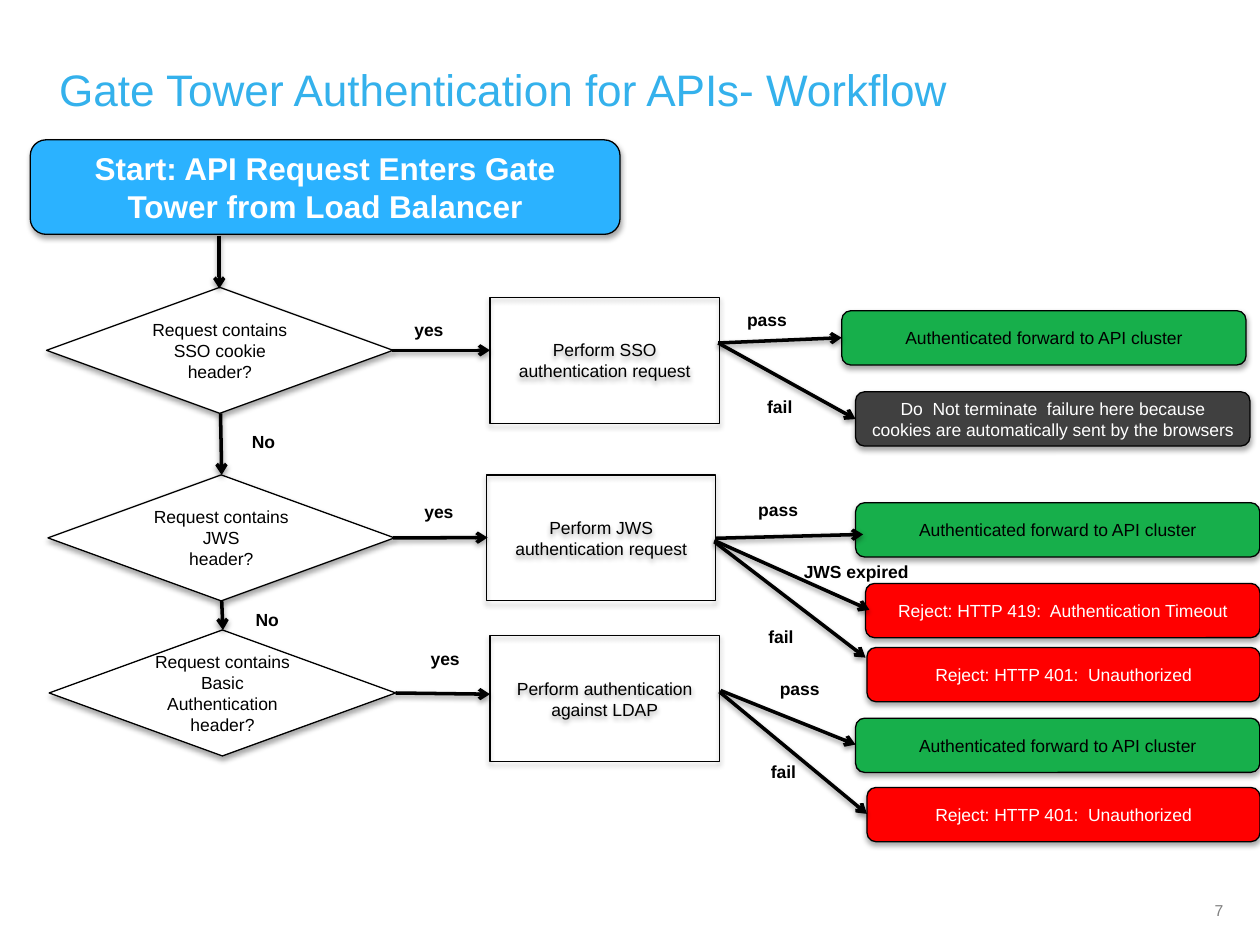
from dataclasses import dataclass

from lxml import etree
from pptx import Presentation
from pptx.dml.color import RGBColor
from pptx.enum.shapes import MSO_CONNECTOR, MSO_SHAPE
from pptx.enum.text import MSO_ANCHOR, PP_ALIGN
from pptx.oxml.ns import qn
from pptx.util import Pt

ROUNDED = MSO_SHAPE.ROUNDED_RECTANGLE
DIAMOND = MSO_SHAPE.DIAMOND
RECTANGLE = MSO_SHAPE.RECTANGLE
STRAIGHT = MSO_CONNECTOR.STRAIGHT
LEFT, CENTER = PP_ALIGN.LEFT, PP_ALIGN.CENTER
TOP, MIDDLE = MSO_ANCHOR.TOP, MSO_ANCHOR.MIDDLE

BLACK, WHITE, GRAY = "000000", "FFFFFF", "808080"
SKY, BLUE = "34B1EC", "2BB2FF"
GREEN, RED, CHARCOAL = "17AF4B", "FF0000", "404040"


@dataclass
class Node:
    kind: int
    left: float
    top: float
    width: float
    height: float
    text: str
    fill: str | None = None
    color: str = BLACK
    size: float = 10
    bold: bool = False


@dataclass
class Arrow:
    start: tuple[float, float]
    end: tuple[float, float]


@dataclass
class Label:
    left: float
    top: float
    width: float
    text: str


def decision(left: float, top: float, text: str) -> Node:
    return Node(DIAMOND, left, top, 198, 72, text, WHITE)


def action(left: float, top: float, text: str) -> Node:
    return Node(RECTANGLE, left, top, 131, 72, text)


def outcome(left: float, top: float, width: float, text: str, fill: str, color: str = WHITE) -> Node:
    return Node(ROUNDED, left, top, width, 31, text, fill, color)


def forward(left: float, top: float) -> Node:
    return outcome(left, top, 231, "Authenticated forward to API cluster", GREEN, BLACK)


def unauthorized(top: float) -> Node:
    return outcome(495.4, top, 224.6, "Reject: HTTP 401:  Unauthorized", RED)


NODES = [
    Node(ROUNDED, 17.3, 79.9, 337, 54, "Start: API Request Enters Gate Tower from Load Balancer",
         BLUE, WHITE, 18, True),
    decision(26.6, 164.2, "Request contains\nSSO cookie\nheader?"),
    decision(27.4, 271.4, "Request contains\nJWS\nheader?"),
    decision(28.1, 360, "Request contains\nBasic Authentication\nheader?"),
    action(280, 169.9, "Perform SSO authentication request"),
    action(278, 271.4, "Perform JWS authentication request"),
    action(280, 363.3, "Perform authentication against LDAP"),
    forward(481, 177.6),
    outcome(488.9, 223.9, 225.4,
            "Do  Not terminate  failure here because cookies are automatically sent by the browsers",
            CHARCOAL),
    forward(488.9, 287.3),
    outcome(494.6, 333.4, 225.4, "Reject: HTTP 419:  Authentication Timeout", RED),
    unauthorized(370),
    forward(488.9, 410.4),
    unauthorized(450),
]

ARROWS = [
    Arrow((125.3, 134.6), (125.3, 164.9)),
    Arrow((126, 236.2), (126.7, 271.4)),
    Arrow((126.7, 343.4), (127.4, 360)),
    Arrow((223.9, 200.2), (280, 200.2)),
    Arrow((224.6, 307.4), (278.6, 307.2)),
    Arrow((226.1, 396), (280, 396.7)),
    Arrow((410.4, 196), (481, 193)),
    Arrow((410.4, 196), (488.9, 239.5)),
    Arrow((409, 307.6), (493.2, 305.4)),
    Arrow((408.2, 308.9), (496.8, 348.5)),
    Arrow((408.2, 309.6), (494.6, 375.8)),
    Arrow((411.8, 394.6), (488.9, 425.5)),
    Arrow((411.1, 395.3), (495.4, 465.1)),
]

LABELS = [
    Label(229.7, 178.6, 32, "yes"),
    Label(235.4, 283, 32, "yes"),
    Label(239, 366.5, 32, "yes"),
    Label(136.8, 242.6, 32, "No"),
    Label(139, 344.2, 32, "No"),
    Label(419.8, 172.8, 42.5, "pass"),
    Label(426.2, 281.5, 42.5, "pass"),
    Label(438.5, 383.8, 42.5, "pass"),
    Label(431.3, 222.5, 42.5, "fail"),
    Label(432, 354.2, 42.5, "fail"),
    Label(433.4, 431.3, 42.5, "fail"),
    Label(452.2, 316.8, 77.8, "JWS expired"),
]


def rgb(value: str) -> RGBColor:
    return RGBColor.from_string(value)


def apply(target: object, values: dict) -> None:
    for name, value in values.items():
        setattr(target, name, value)


def write(box, text: str, size: float, color: str, bold: bool = False,
          align=LEFT, anchor=TOP, spacing: float = 1.0) -> None:
    frame = box.text_frame
    apply(frame, {"word_wrap": True, "vertical_anchor": anchor})
    for index, line in enumerate(text.split("\n")):
        para = frame.add_paragraph() if index else frame.paragraphs[0]
        apply(para, {"alignment": align, "line_spacing": spacing})
        span = para.add_run()
        span.text = line
        apply(span.font, {"name": "Arial", "size": Pt(size), "bold": bold})
        span.font.color.rgb = rgb(color)


def add_shadow(effects, distance: float, opacity: int) -> None:
    shadow = etree.SubElement(effects, qn("a:outerShdw"), blurRad=str(Pt(3.1)),
                              dist=str(Pt(distance)), dir="5400000", rotWithShape="0")
    tint = etree.SubElement(shadow, qn("a:srgbClr"), val=BLACK)
    etree.SubElement(tint, qn("a:alpha"), val=str(opacity * 1000))


def draw_node(page, node: Node) -> None:
    box = page.shapes.add_shape(node.kind, Pt(node.left), Pt(node.top), Pt(node.width), Pt(node.height))
    if node.fill:
        box.fill.solid()
        box.fill.fore_color.rgb = rgb(node.fill)
    else:
        box.fill.background()
    box.line.color.rgb = rgb(BLACK)
    box.line.width = Pt(0.75)
    box.shadow.inherit = False
    add_shadow(box.element.spPr.find(qn("a:effectLst")), 1.8, 35)
    write(box, node.text, node.size, node.color, node.bold, CENTER, MIDDLE)


def draw_arrow(page, arrow: Arrow) -> None:
    points = [Pt(value) for value in (*arrow.start, *arrow.end)]
    connector = page.shapes.add_connector(STRAIGHT, *points)
    connector.line.color.rgb = rgb(BLACK)
    connector.line.width = Pt(2)
    properties = connector.element.spPr
    etree.SubElement(properties.find(qn("a:ln")), qn("a:tailEnd"), type="arrow")
    add_shadow(etree.SubElement(properties, qn("a:effectLst")), 1.6, 38)


def draw_label(page, label: Label) -> None:
    box = page.shapes.add_textbox(Pt(label.left), Pt(label.top), Pt(label.width), Pt(19.4))
    write(box, label.text, 10, BLACK, True)


def main() -> None:
    deck = Presentation()
    apply(deck, {"slide_width": Pt(720), "slide_height": Pt(540)})
    page = deck.slides.add_slide(deck.slide_layouts[5])
    title = page.shapes.title
    apply(title, {"left": Pt(26.6), "top": Pt(28), "width": Pt(602), "height": Pt(49)})
    write(title, "Gate Tower Authentication for APIs- Workflow", 25.2, SKY, anchor=MIDDLE, spacing=0.95)
    number = page.shapes.add_textbox(Pt(677.5), Pt(511.2), Pt(38), Pt(24.5))
    write(number, "7", 9, GRAY, align=CENTER)
    for node in NODES:
        draw_node(page, node)
    for arrow in ARROWS:
        draw_arrow(page, arrow)
    for label in LABELS:
        draw_label(page, label)
    deck.save("out.pptx")


if __name__ == "__main__":
    main()
